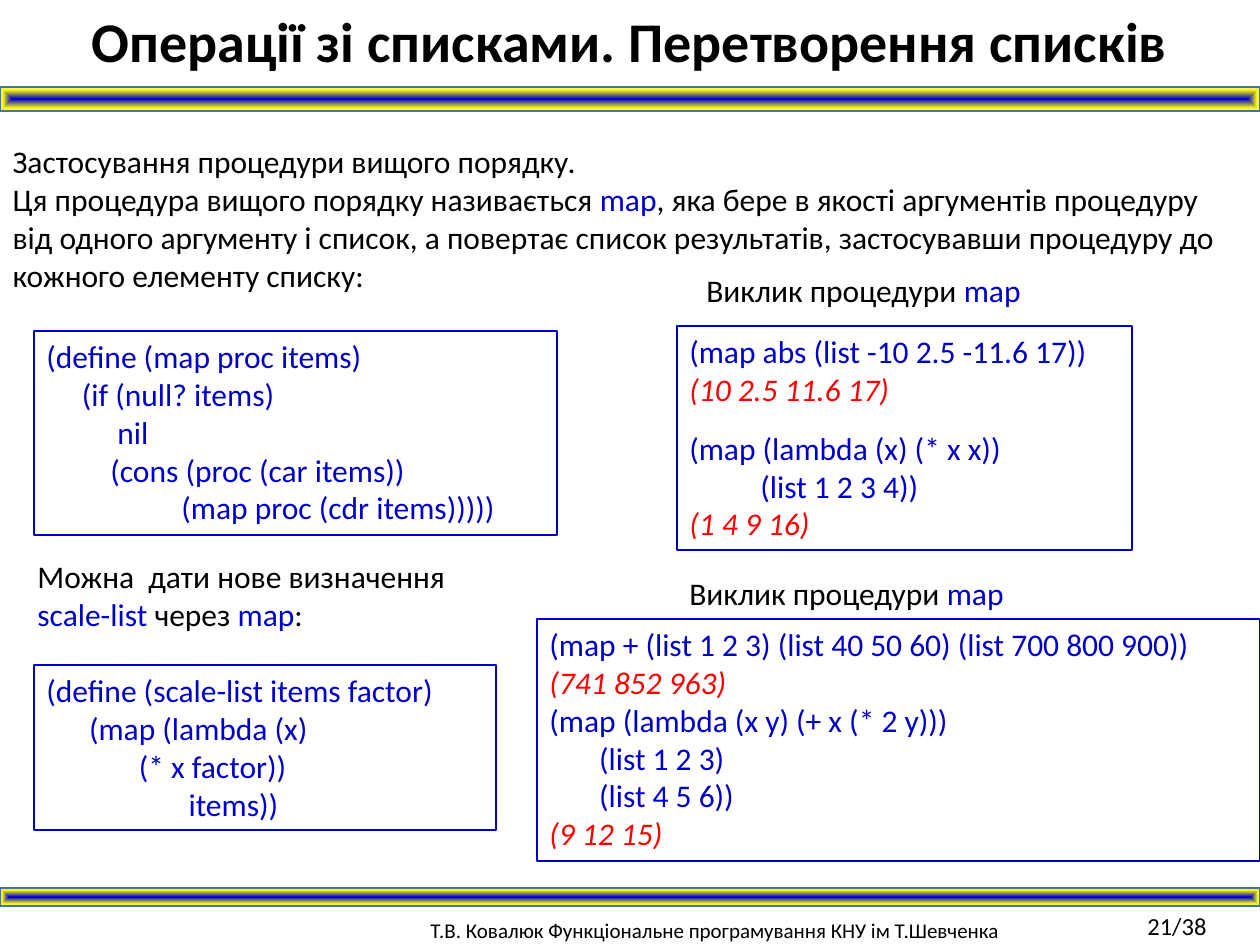
from pptx import Presentation
from pptx import util as u
from pptx.dml.color import RGBColor
from pptx.enum import shapes, text
from pptx.oxml import parse_xml
from pptx.oxml.ns import nsdecls

PX_PER_INCH = 126
SPACE_PX = 7.11  # one space of the code text

THEME = {
    "font": "Calibri",
    "plain": "000000", "code": "0000CC", "result": "FF0000",
    "bar_line": "43739E",
    "bar_stops": [(0, "0000CC"), (77, "FFFF00"), (100, "CEE1F2")],
    "title_size": 32, "text_size": 18, "footer_size": 12, "number_size": 14,
}

# A paragraph is (indent in spaces, space before in points, spans); a span is (text, style).
def line(words, style="code", indent=0, before=0):
    return indent, before, [(words, style)]


def mixed(*spans):
    return 0, 0, spans


TITLE = [line("Операції зі списками. Перетворення списків", "plain")]
INTRO = [
    line("Застосування процедури вищого порядку.", "plain"),
    mixed(("Ця процедура вищого порядку називається ", "plain"), ("map", "code"),
          (", яка бере в якості аргументів процедуру від одного аргументу і список, "
           "а повертає список результатів, застосувавши процедуру до кожного "
           "елементу списку:", "plain")),
]
CALL = [mixed(("Виклик процедури ", "plain"), ("map", "code"))]
SCALE = [mixed(("Можна  дати нове визначення ", "plain"), ("scale-list ", "code"),
               ("через ", "plain"), ("map", "code"), (":", "plain"))]
FOOTER = [line("Т.В. Ковалюк Функціональне програмування КНУ ім Т.Шевченка", "plain")]
NUMBER = [line("21/38", "plain")]

# (left, top, width, height), paragraphs, type size, wrap
LABELS = [
    ((694, 265, 350, 50), CALL, "text_size", False),
    ((677, 568, 350, 50), CALL, "text_size", False),
    ((25, 551, 470, 89), SCALE, "text_size", True),
    ((418, 911, 756, 40), FOOTER, "footer_size", True),
    ((1135, 905, 107, 40), NUMBER, "number_size", True),
]
CODE_BOXES = [
    ((34, 331, 523, 204), [
        line("(define (map proc items)"),
        line("(if (null? items)", indent=5),
        line("nil", indent=10),
        line("(cons (proc (car items))", indent=9),
        line("(map proc (cdr items)))))", indent=19),
    ]),
    ((677, 326, 455, 224), [
        line("(map abs (list -10 2.5 -11.6 17))"),
        line("(10 2.5 11.6 17)", "result"),
        line("(map (lambda (x) (* x x))", before=12),
        line("(list 1 2 3 4))", indent=10),
        line("(1 4 9 16)", "result"),
    ]),
    ((34, 665, 462, 165), [
        line("(define (scale-list items factor)"),
        line("(map (lambda (x)", indent=6),
        line("(* x factor))", indent=13),
        line("items))", indent=20),
    ]),
    ((537, 619, 723, 242), [
        line("(map + (list 1 2 3) (list 40 50 60) (list 700 800 900))"),
        line("(741 852 963)", "result"),
        line("(map (lambda (x y) (+ x (* 2 y)))"),
        line("(list 1 2 3)", indent=7),
        line("(list 4 5 6))", indent=7),
        line("(9 12 15)", "result"),
    ]),
]
BARS = [(0, 87, 1260, 24), (0, 888, 1260, 18)]


def px(length):
    return u.Emu(round(length * 914400 / PX_PER_INCH))


def color(name):
    return RGBColor.from_string(THEME[name])


def write(frame, paragraphs, size="text_size", wrap=True, align=text.PP_ALIGN.LEFT, bold=False):
    frame.word_wrap = wrap
    frame.auto_size = text.MSO_AUTO_SIZE.NONE
    frame.vertical_anchor = text.MSO_ANCHOR.TOP
    for index, (indent, before, spans) in enumerate(paragraphs):
        para = frame.paragraphs[0] if index == 0 else frame.add_paragraph()
        para.alignment = align
        para.space_before = u.Pt(before)
        props = para._p.get_or_add_pPr()
        props.set("marL", str(px(indent * SPACE_PX)))
        props.set("indent", "0")
        props.append(parse_xml(f"<a:buNone {nsdecls('a')}/>"))
        for words, style in spans:
            span = para.add_run()
            span.text = words
            span.font.name = THEME["font"]
            span.font.size = u.Pt(THEME[size])
            span.font.bold = bold
            span.font.italic = style == "result"
            span.font.color.rgb = color(style)


def place(shape, area):
    shape.left, shape.top, shape.width, shape.height = map(px, area)


def add_rectangle(page, area, line_color, line_width):
    box = page.shapes.add_shape(shapes.MSO_SHAPE.RECTANGLE, *map(px, area))
    box.shadow.inherit = False
    box.fill.background()
    box.line.color.rgb = color(line_color)
    box.line.width = u.Pt(line_width)
    return box


def add_bar(page, area):
    """Rectangle with a gradient running from its centre to its edges."""
    bar = add_rectangle(page, area, "bar_line", 1)
    stops = "".join(f'<a:gs pos="{at * 1000}"><a:srgbClr val="{rgb}"/></a:gs>'
                    for at, rgb in THEME["bar_stops"])
    gradient = parse_xml(
        f'<a:gradFill {nsdecls("a")} rotWithShape="1"><a:gsLst>{stops}</a:gsLst>'
        '<a:path path="shape"><a:fillToRect l="50000" t="50000" r="50000" b="50000"/>'
        '</a:path></a:gradFill>')
    props = bar._element.spPr
    props.replace(props.find("{*}noFill"), gradient)


def main():
    deck = Presentation()
    deck.slide_width, deck.slide_height = u.Inches(10), u.Inches(7.5)
    page = deck.slides.add_slide(deck.slide_layouts[1])

    title, body = page.shapes.title, page.placeholders[1]
    place(title, (0, 0, 1260, 81))
    write(title.text_frame, TITLE, "title_size", align=text.PP_ALIGN.CENTER, bold=True)
    place(body, (0, 136, 1240, 165))
    write(body.text_frame, INTRO)

    for area in BARS:
        add_bar(page, area)
    for area, paragraphs in CODE_BOXES:
        write(add_rectangle(page, area, "code", 0.75).text_frame, paragraphs)
    for area, paragraphs, size, wrap in LABELS:
        label = page.shapes.add_textbox(*map(px, area))
        write(label.text_frame, paragraphs, size, wrap)

    deck.save("out.pptx")


if __name__ == "__main__":
    main()
